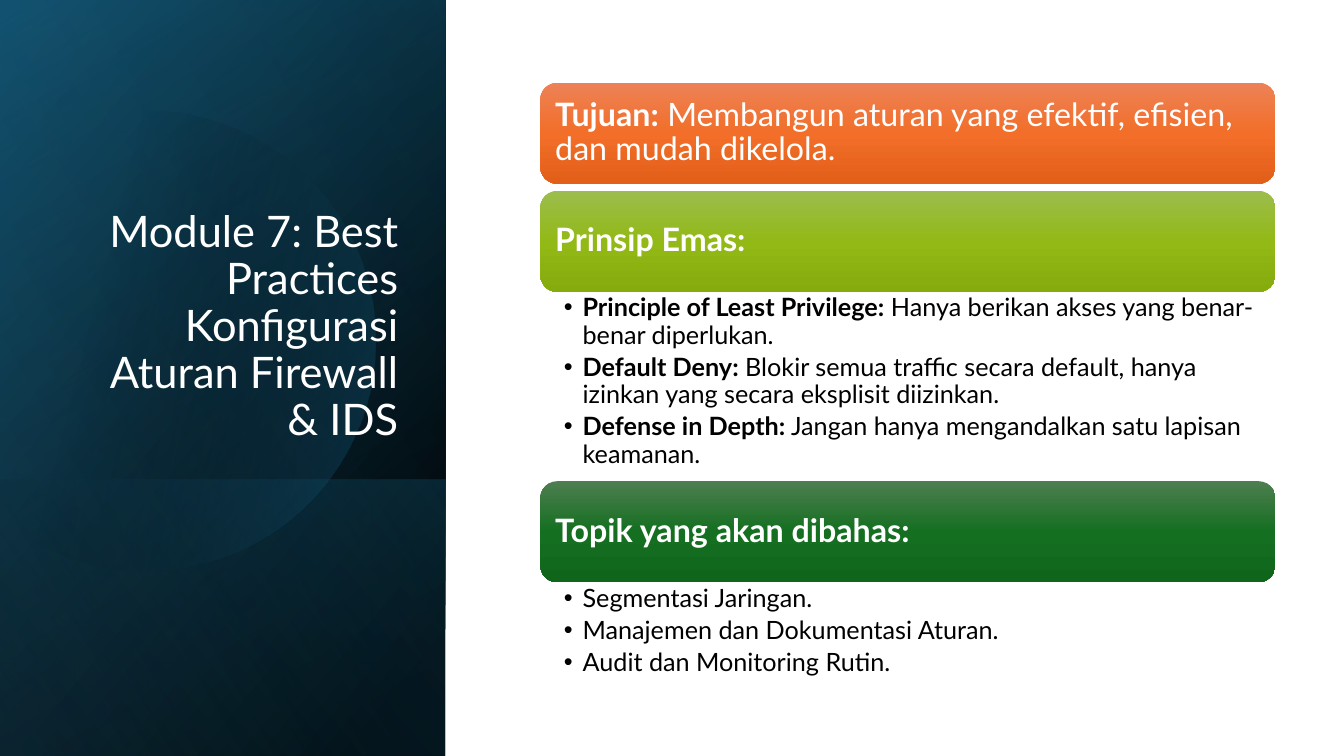
import math
import pptx
import pptx.dml.color
import pptx.enum.shapes
import pptx.enum.text
import pptx.oxml
import pptx.oxml.ns
import pptx.util

Pt = pptx.util.Pt
RGB = pptx.dml.color.RGBColor.from_string
SHAPE = pptx.enum.shapes.MSO_SHAPE
ANCHOR = pptx.enum.text.MSO_ANCHOR
ALIGN = pptx.enum.text.PP_ALIGN

# Content: text is a list of (words, bold) runs
TITLE = [("Module 7: Best Practices Konfigurasi Aturan Firewall & IDS", False)]
SECTIONS = [
    {"head": [("Tujuan:", True),
              (" Membangun aturan yang efektif, efisien, dan mudah dikelola.", False)],
     "bar": "orange", "items": [], "below": 5.1},
    {"head": [("Prinsip Emas:", True)],
     "bar": "lime", "below": 135.2,
     "items": [
         [("Principle of Least Privilege:", True),
          (" Hanya berikan akses yang benar-benar diperlukan.", False)],
         [("Default Deny:", True),
          (" Blokir semua traffic secara default, hanya izinkan yang secara "
           "eksplisit diizinkan.", False)],
         [("Defense in Depth:", True),
          (" Jangan hanya mengandalkan satu lapisan keamanan.", False)]]},
    {"head": [("Topik yang akan dibahas:", True)],
     "bar": "green", "below": 73.4,
     "items": [[("Segmentasi Jaringan.", False)],
               [("Manajemen dan Dokumentasi Aturan.", False)],
               [("Audit dan Monitoring Rutin.", False)]]},
]

# Theme: gradient stops are (position %, colour, opacity %)
THEME = {
    "font": "Lato", "light": "FFFFFF", "dark": "000000",
    "title": 31, "head": 23, "item": 18,
    "orange": [(0, "ED8257", 100), (50, "F26E29", 100), (100, "E25F1A", 100)],
    "lime": [(0, "9CBD4E", 100), (50, "92B916", 100), (100, "85AB0D", 100)],
    "green": [(0, "4D7E50", 100), (50, "156F21", 100), (100, "0F661B", 100)],
    "base": [(8, "000000", 100), (100, "104862", 100)],
    "glow": [(0, "000000", 0), (99, "156082", 46)],
    "foot": [(2, "156082", 29), (100, "000000", 30)],
    "disc": [(29, "000000", 0), (100, "156082", 43)],
    "sheen": [(0, "000000", 0), (99, "46B1E1", 11)],
}

# Layout in points
SLIDE_W, SLIDE_H = 960, 540
PANEL_W = 318.2
FOOT_TOP = 342.7
DISC_X, DISC_Y, DISC_R = 104, 243.3, 164
BAR_X, BAR_Y, BAR_W, BAR_H = 386, 59, 525, 72.2


def paint(sp, stops, angle):
    """Gradient fill, no outline, no shadow."""
    sp.shadow.inherit = False
    sp.line.fill.background()
    marks = "".join(
        f'<a:gs pos="{pos * 1000}"><a:srgbClr val="{color}">'
        f'<a:alpha val="{alpha * 1000}"/></a:srgbClr></a:gs>'
        for pos, color, alpha in stops)
    sp.fill.background()
    spPr = sp._element.spPr
    old = spPr.find(pptx.oxml.ns.qn("a:noFill"))
    spPr.replace(old, pptx.oxml.parse_xml(
        f'<a:gradFill {pptx.oxml.ns.nsdecls("a")} rotWithShape="1"><a:gsLst>{marks}'
        f'</a:gsLst><a:lin ang="{angle * 60000}" scaled="0"/></a:gradFill>'))


def add_band(stops, angle, top=0):
    """Band across the side panel, from top to the slide's foot, turned a quarter."""
    length = SLIDE_H - top
    sp = slide.shapes.add_shape(
        SHAPE.RECTANGLE, Pt((PANEL_W - length) / 2),
        Pt(top + (length - PANEL_W) / 2), Pt(length), Pt(PANEL_W))
    sp.rotation = 90
    sp._element.spPr.xfrm.set("flipH", "1")
    paint(sp, stops, angle)


def add_disc(stops, angle):
    """Circle cut off at the slide's left edge."""
    reach = math.acos(-DISC_X / DISC_R)
    steps = 120
    arc = [reach * (2 * i / steps - 1) for i in range(steps + 1)]
    points = [(Pt(DISC_X + DISC_R * math.cos(a)), Pt(DISC_Y + DISC_R * math.sin(a)))
              for a in arc]
    builder = slide.shapes.build_freeform(*points[0])
    builder.add_line_segments(points[1:], close=True)
    paint(builder.convert_to_shape(), stops, angle)


def write(sp, paragraphs, size, color, frame, para, bullet=False):
    tf = sp.text_frame
    settings = {"word_wrap": True, "auto_size": pptx.enum.text.MSO_AUTO_SIZE.NONE, **frame}
    for name, value in settings.items():
        setattr(tf, name, value)
    for i, runs in enumerate(paragraphs):
        p = tf.paragraphs[0] if i == 0 else tf.add_paragraph()
        if bullet:
            pPr = p._p.get_or_add_pPr()
            pPr.set("marL", str(Pt(13.5)))
            pPr.set("indent", str(-Pt(13.5)))
            pPr.append(pptx.oxml.parse_xml(
                f'<a:buChar {pptx.oxml.ns.nsdecls("a")} char="•"/>'))
        for name, value in {"line_spacing": 0.9, "space_before": Pt(0), **para}.items():
            setattr(p, name, value)
        for words, bold in runs:
            r = p.add_run()
            r.text = words
            for name, value in {"name": THEME["font"], "size": Pt(size), "bold": bold}.items():
                setattr(r.font, name, value)
            r.font.color.rgb = RGB(THEME[color])


def place(sp, *box):
    for name, value in zip(("left", "top", "width", "height"), box):
        setattr(sp, name, Pt(value))
    slide.shapes._spTree.append(sp._element)  # bring to front


prs = pptx.Presentation()
prs.slide_width, prs.slide_height = Pt(SLIDE_W), Pt(SLIDE_H)
slide = prs.slides.add_slide(prs.slide_layouts[3])
title, *bodies = list(slide.placeholders)

# Side panel
add_band(THEME["base"], 50)
add_band(THEME["glow"], 30)
add_band(THEME["foot"], 130, FOOT_TOP)
add_disc(THEME["disc"], 14)
add_band(THEME["sheen"], 120)

# Title
place(title, 46, 132.5, 245.5, 188.6)
write(title, [TITLE], THEME["title"], "light",
      {"vertical_anchor": ANCHOR.BOTTOM}, {"alignment": ALIGN.RIGHT})

# Section bars with their lists
y = BAR_Y
lists = iter(bodies)
for section in SECTIONS:
    bar = slide.shapes.add_shape(
        SHAPE.ROUNDED_RECTANGLE, Pt(BAR_X), Pt(y), Pt(BAR_W), Pt(BAR_H))
    paint(bar, THEME[section["bar"]], 90)
    write(bar, [section["head"]], THEME["head"], "light",
          {"vertical_anchor": ANCHOR.MIDDLE, "margin_left": Pt(7.2), "margin_right": Pt(7.2),
           "margin_top": Pt(7.2), "margin_bottom": Pt(7.2)},
          {"alignment": ALIGN.LEFT})
    y += BAR_H
    if section["items"]:
        body = next(lists)
        place(body, BAR_X, y, BAR_W, section["below"])
        write(body, section["items"], THEME["item"], "dark",
              {"vertical_anchor": ANCHOR.TOP, "margin_left": Pt(16.7),
               "margin_right": Pt(12.8), "margin_top": Pt(2.3), "margin_bottom": Pt(2.3)},
              {"alignment": ALIGN.LEFT, "space_after": Pt(3.6)}, bullet=True)
    y += section["below"]

prs.save("out.pptx")
